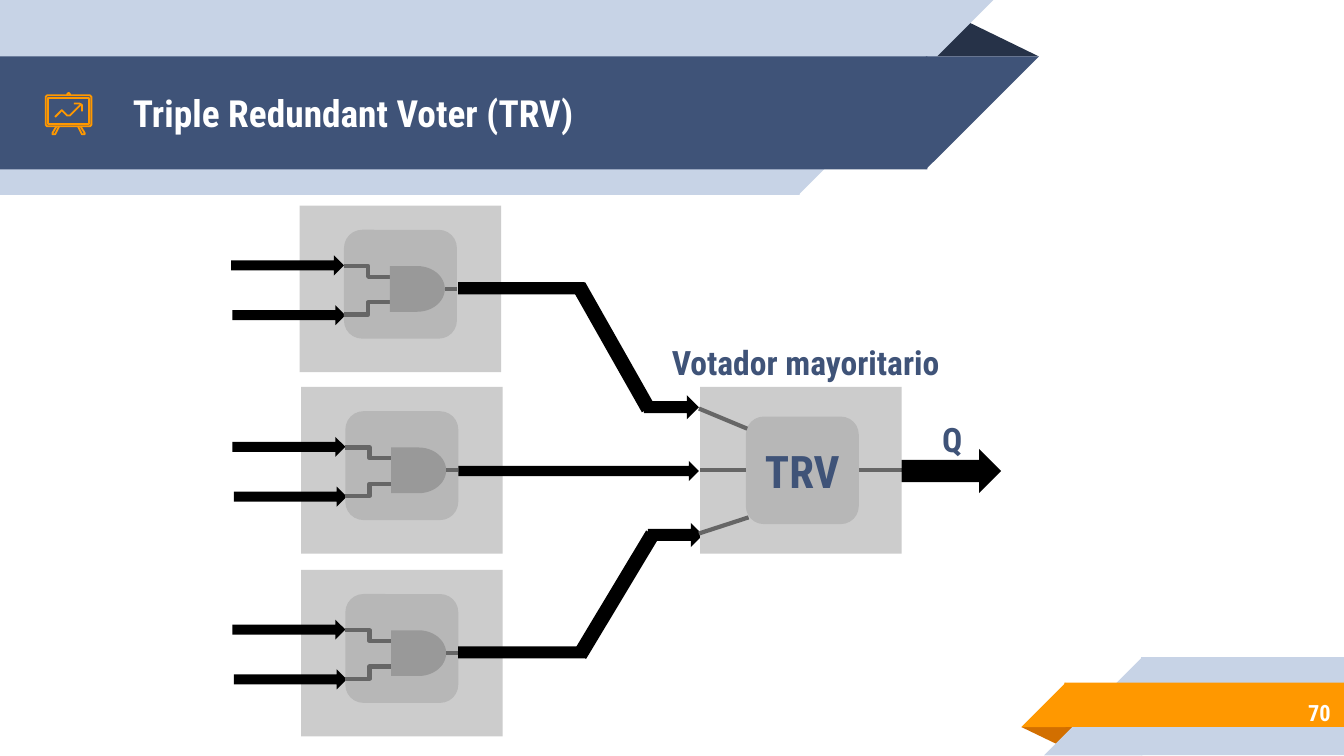
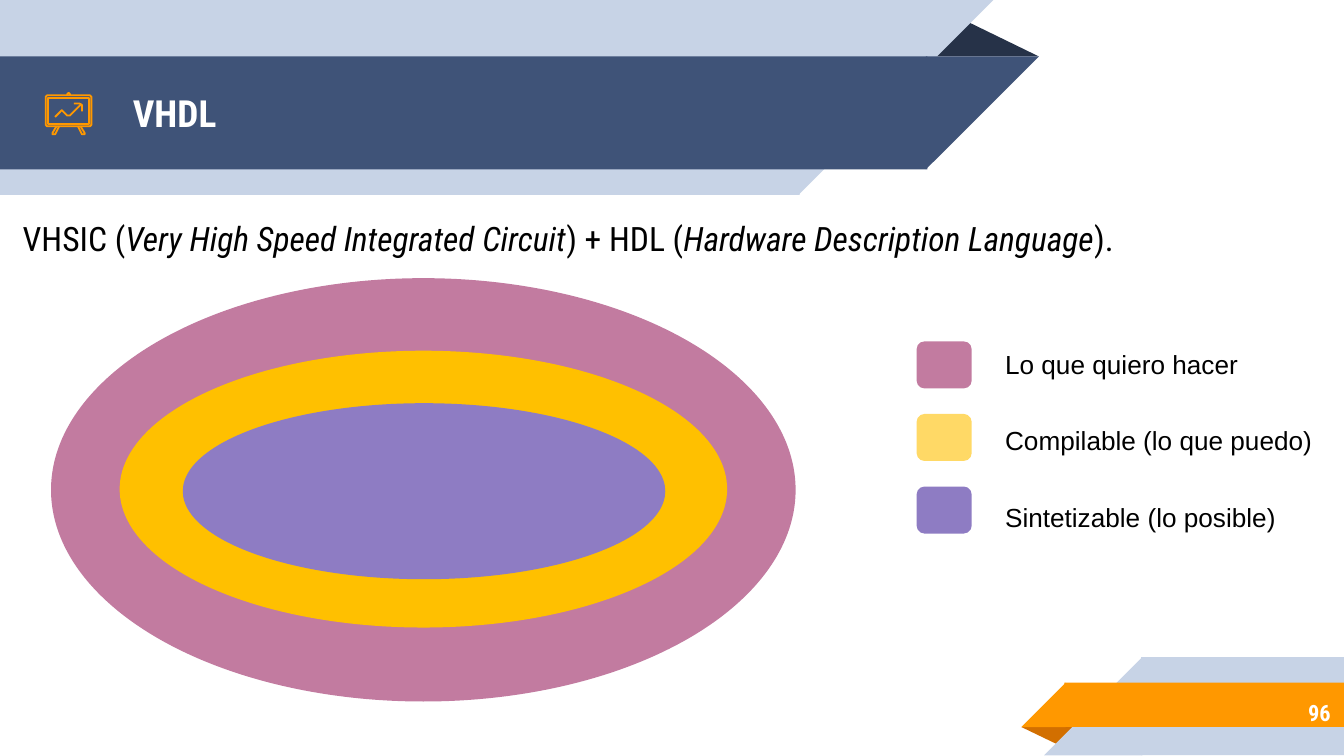
from lxml import etree
from pptx import Presentation
from pptx.dml.color import RGBColor
from pptx.enum import shapes as kinds, text as txt
from pptx.oxml.ns import qn
from pptx.util import Inches, Pt

NAVY = RGBColor(0x3F, 0x53, 0x78)
DARK_NAVY = RGBColor(0x26, 0x32, 0x48)
PALE_BLUE = RGBColor(0xC7, 0xD3, 0xE6)
ORANGE = RGBColor(0xFF, 0x98, 0x00)
DARK_ORANGE = RGBColor(0xD2, 0x6F, 0x00)
WHITE = RGBColor(0xFF, 0xFF, 0xFF)
BLACK = RGBColor(0x00, 0x00, 0x00)
BOARD_GRAY = RGBColor(0xCC, 0xCC, 0xCC)
CELL_GRAY = RGBColor(0xB7, 0xB7, 0xB7)
GATE_GRAY = RGBColor(0x99, 0x99, 0x99)
WIRE_GRAY = RGBColor(0x66, 0x66, 0x66)
PINK = RGBColor(0xC2, 0x7B, 0xA0)
AMBER = RGBColor(0xFF, 0xC0, 0x00)
LIGHT_AMBER = RGBColor(0xFF, 0xD9, 0x66)
PURPLE = RGBColor(0x8E, 0x7C, 0xC3)

CONDENSED = "Roboto Condensed"
FORM = kinds.MSO_SHAPE
LINK = kinds.MSO_CONNECTOR
ALIGN = txt.PP_ALIGN
MIDDLE = txt.MSO_ANCHOR.MIDDLE
TOP, LEFT, BOTTOM, RIGHT = range(4)

BOARD_WIDTH, BOARD_HEIGHT = 1.5, 1.24
CELL_WIDTH = 0.84
SEAM = 0.01  # overlap that hides the joint between a band and its slanted end


# Drawing helpers

def add_form(shapes, form, left, top, width, height, color, turn=0, mirror=False):
    shape = shapes.add_shape(form, Inches(left), Inches(top), Inches(width), Inches(height))
    shape.shadow.inherit = False
    shape.fill.solid()
    shape.fill.fore_color.rgb = color
    shape.line.fill.background()
    shape.rotation = turn
    if mirror:
        shape._element.spPr.find(qn("a:xfrm")).set("flipH", "1")
    return shape


def add_wire(page, kind, start, end):
    wire = page.shapes.add_connector(kind, *(Inches(value) for value in start + end))
    wire.line.color.rgb = WIRE_GRAY
    wire.line.width = Pt(2.25)
    etree.SubElement(wire._element.spPr, qn("a:effectLst"))
    return wire


def add_outline(shapes, left, top, points, close=False):
    corners = [(Inches(left + x), Inches(top + y)) for x, y in points]
    builder = shapes.build_freeform(*corners[0])
    builder.add_line_segments(corners[1:], close=close)
    shape = builder.convert_to_shape()
    shape.shadow.inherit = False
    shape.fill.background()
    shape.line.color.rgb = ORANGE
    shape.line.width = Pt(0.96)


def write(shape, spans, size, color, font=CONDENSED, bold=False, align=ALIGN.LEFT, anchor=MIDDLE):
    """Fill a shape with one paragraph of (words, italic) spans."""
    frame = shape.text_frame
    frame.word_wrap = True
    frame.vertical_anchor = anchor
    frame.margin_left = frame.margin_right = Inches(0.1)
    frame.margin_top = frame.margin_bottom = Inches(0.1)
    para = frame.paragraphs[0]
    para.alignment = align
    para.font.name = font
    para.font.size = Pt(size)
    para.font.bold = bold
    para.font.color.rgb = color
    for words, italic in spans:
        span = para.add_run()
        span.text = words
        if italic:
            span.font.italic = True


def add_label(page, left, top, width, height, words, size, color, **style):
    box = page.shapes.add_textbox(Inches(left), Inches(top), Inches(width), Inches(height))
    spans = [(words, False)] if isinstance(words, str) else words
    write(box, spans, size, color, **style)


# Parts shared by both slides

def add_header(page, left, top, title):
    band = page.shapes.add_group_shape().shapes
    fold = add_form(band, FORM.ISOSCELES_TRIANGLE, left + 6.88, top + 0.14, 0.85, 0.28, DARK_NAVY)
    fold.adjustments[0] = 0.324
    for offset, width, height, color in ((0, 5.94, 1.45, PALE_BLUE), (0.42, 6.89, 0.84, NAVY)):
        add_form(band, FORM.RECTANGLE, left, top + offset, width + SEAM, height, color)
        add_form(band, FORM.RIGHT_TRIANGLE, left + width, top + offset, height, height, color,
                 turn=180, mirror=True)
    add_label(page, left + 0.89, top + 0.42, 5.75, 0.84, title, 20, WHITE, bold=True)
    add_board_icon(page, left + 0.34, top + 0.69)


def add_board_icon(page, left, top):
    icon = page.shapes.add_group_shape().shapes
    # Frame and panel
    add_outline(icon, left, top, [(0.01, 0.02), (0.33, 0.02), (0.34, 0.03), (0.34, 0.24),
                                  (0.33, 0.25), (0.01, 0.25), (0, 0.24), (0, 0.03)], close=True)
    add_outline(icon, left, top, [(0.02, 0.04), (0.02, 0.23), (0.32, 0.23), (0.32, 0.04)], close=True)
    # Hook and legs
    add_outline(icon, left, top, [(0.16, 0.02), (0.16, 0.01), (0.17, 0), (0.18, 0.01), (0.18, 0.02)])
    leg = [(0.08, 0.25), (0.05, 0.3), (0.05, 0.31), (0.06, 0.31), (0.07, 0.31), (0.1, 0.25)]
    add_outline(icon, left, top, leg)
    add_outline(icon, left, top, [(0.34 - x, y) for x, y in leg])
    # Rising trend with its arrowhead
    add_outline(icon, left, top, [(0.26, 0.09), (0.18, 0.17), (0.16, 0.17), (0.12, 0.13), (0.07, 0.18)])
    add_outline(icon, left, top, [(0.21, 0.08), (0.25, 0.08), (0.27, 0.09), (0.27, 0.14)])


def add_footer(page, left, top, number):
    band = page.shapes.add_group_shape().shapes
    fold = add_form(band, FORM.ISOSCELES_TRIANGLE, left, top + 0.52, 0.43, 0.14, DARK_ORANGE, turn=180)
    fold.adjustments[0] = 0.324
    for indent, offset, width, height, color in ((0.9, 0, 1.5, 0.73, PALE_BLUE),
                                                 (0.33, 0.19, 2.07, 0.33, ORANGE)):
        add_form(band, FORM.RECTANGLE, left + indent - SEAM, top + offset, width + SEAM, height, color)
        add_form(band, FORM.RIGHT_TRIANGLE, left + indent - height, top + offset, height, height,
                 color, mirror=True)
    add_label(page, left + 0.77, top + 0.24, 1.63, 0.35, number, 12, WHITE,
              bold=True, align=ALIGN.RIGHT)


def add_page(deck, title, number):
    page = deck.slides.add_slide(deck.slide_layouts[6])
    add_header(page, 0, 0, title)
    add_footer(page, 7.6, 4.89, number)
    return page


# Triple redundant voter

def add_replica(page, left, top):
    """One board with an AND gate and its two inputs."""
    add_form(page.shapes, FORM.RECTANGLE, left, top, BOARD_WIDTH, BOARD_HEIGHT, BOARD_GRAY)
    for x, y in ((-0.5, 0.74), (-0.51, 0.37)):
        add_form(page.shapes, FORM.RIGHT_ARROW, left + x, top + y, 0.84, 0.15, BLACK)
    add_form(page.shapes, FORM.ROUNDED_RECTANGLE, left + 0.33, top + 0.18,
             CELL_WIDTH, 0.81, CELL_GRAY)
    for gate_y, input_y in ((0.53, 0.45), (0.72, 0.81)):
        add_wire(page, LINK.ELBOW, (left + 0.69, top + gate_y), (left + 0.33, top + input_y))
    gate = add_form(page.shapes, FORM.FLOWCHART_DELAY, left + 0.67, top + 0.45, 0.41, 0.34, GATE_GRAY)
    output = add_wire(page, LINK.STRAIGHT, (left + 1.08, top + 0.62), (left + 1.17, top + 0.62))
    output.begin_connect(gate, RIGHT)


def add_votes(page, left, top):
    """Thick arrows that lead from the three boards to the voter."""
    shapes = page.shapes
    add_form(shapes, FORM.RIGHT_ARROW, left, top + 1.33, 1.79, 0.15, BLACK)
    for bar_y, head_x, head_y, slope_x, slope_y, turn in ((0, 1.38, 0.84, 0.63, 0.43, 60.5),
                                                          (2.71, 1.41, 1.79, 0.65, 2.27, 301)):
        add_form(shapes, FORM.RECTANGLE, left, top + bar_y, 0.94, 0.09, BLACK)
        add_form(shapes, FORM.RIGHT_ARROW, left + head_x, top + head_y, 0.41, 0.18, BLACK)
        add_form(shapes, FORM.RECTANGLE, left + slope_x, top + slope_y, 1.05, 0.11, BLACK, turn=turn)


def add_voter(page, left, top):
    board = add_form(page.shapes, FORM.RECTANGLE, left, top, BOARD_WIDTH, BOARD_HEIGHT, BOARD_GRAY)
    cell = add_form(page.shapes, FORM.ROUNDED_RECTANGLE, left + 0.34, top + 0.22,
                    CELL_WIDTH, 0.8, CELL_GRAY)
    write(cell, [("TRV", False)], 24, NAVY, bold=True, align=ALIGN.CENTER)
    # Middle input and output
    middle = top + BOARD_HEIGHT / 2
    for side, board_x, cell_x in ((LEFT, 0, 0.34), (RIGHT, BOARD_WIDTH, 1.18)):
        wire = add_wire(page, LINK.STRAIGHT, (left + board_x, middle), (left + cell_x, middle))
        wire.begin_connect(board, side)
        wire.end_connect(cell, side)
    # Slanted inputs
    for start_y, end_x, end_y in ((0.16, 0.35, 0.31), (1.09, 0.36, 0.97)):
        add_wire(page, LINK.STRAIGHT, (left - 0.01, top + start_y), (left + end_x, top + end_y))
    add_form(page.shapes, FORM.RIGHT_ARROW, left + BOARD_WIDTH, top + 0.46, 0.74, 0.33, BLACK)
    # Labels
    for x, y, width, height, words in ((-0.39, -0.36, 2.35, 0.35, "Votador mayoritario"),
                                       (1.7, 0.16, 0.35, 0.45, "Q")):
        add_label(page, left + x, top + y, width, height, words, 18, NAVY,
                  bold=True, align=ALIGN.CENTER)


def build_voter_page(deck):
    page = add_page(deck, "Triple Redundant Voter (TRV)", "70")
    for left, top in ((2.23, 1.53), (2.24, 2.88), (2.24, 4.24)):
        add_replica(page, left, top)
    add_votes(page, 3.41, 2.1)
    add_voter(page, 5.21, 2.88)


# VHDL

def add_nested_sets(page, left, top):
    for x, y, width, height, color in ((0, 0, 5.54, 3.15, PINK),
                                       (0.51, 0.54, 4.52, 2.06, AMBER),
                                       (0.98, 0.93, 3.59, 1.31, PURPLE)):
        add_form(page.shapes, FORM.OVAL, left + x, top + y, width, height, color)


def add_legend(page, left, top):
    entries = ((PINK, "Lo que quiero hacer"),
               (LIGHT_AMBER, "Compilable (lo que puedo)"),
               (PURPLE, "Sintetizable (lo posible)"))
    for row, (color, words) in enumerate(entries):
        add_form(page.shapes, FORM.ROUNDED_RECTANGLE, left, top + 0.05 + 0.54 * row, 0.41, 0.35, color)
        add_label(page, left + 0.56, top + 0.57 * row, 2.62, 0.33, words, 14, BLACK,
                  font="Arial", anchor=txt.MSO_ANCHOR.TOP)


def build_vhdl_page(deck):
    page = add_page(deck, "VHDL", "96")
    add_label(page, 0.07, 1.52, 8.78, 0.35,
              [("VHSIC (", False), ("Very High Speed Integrated Circuit", True), (") + HDL (", False),
               ("Hardware Description Language", True), (").", False)],
              18, BLACK, anchor=txt.MSO_ANCHOR.TOP)
    add_nested_sets(page, 0.38, 2.07)
    add_legend(page, 6.82, 2.49)


def main():
    deck = Presentation()
    deck.slide_width = Inches(10)
    deck.slide_height = Inches(10) * 9 // 16
    build_voter_page(deck)
    build_vhdl_page(deck)
    deck.save("out.pptx")


if __name__ == "__main__":
    main()
